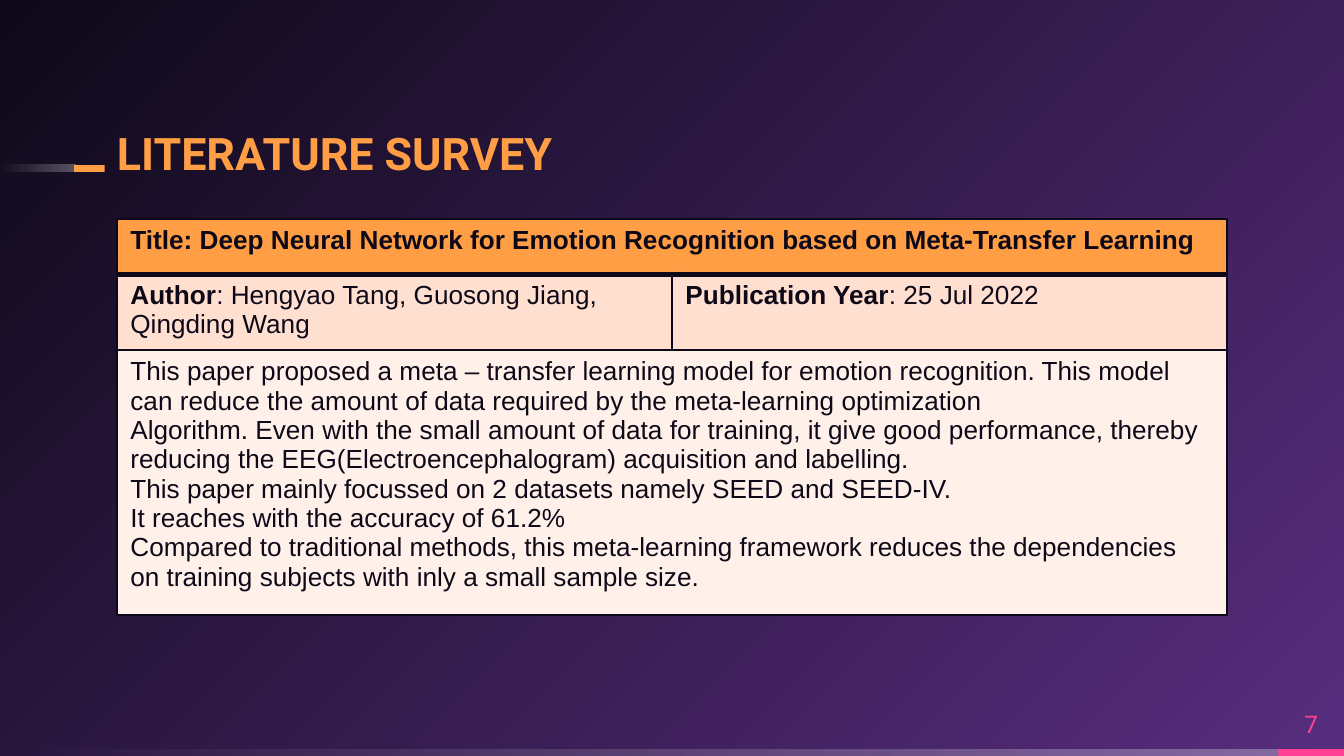
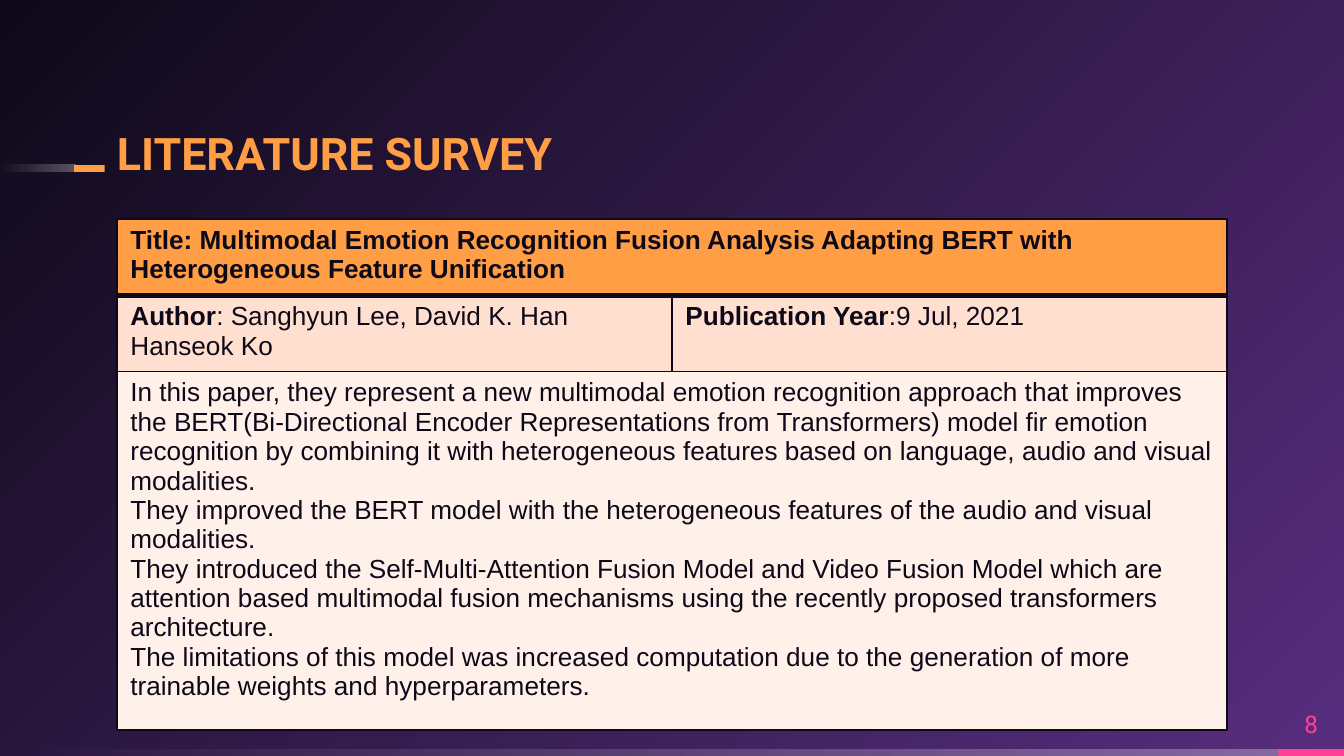
"""Build two literature survey slides."""
import pptx
import pptx.util
import pptx.dml.color
import pptx.enum.shapes
import pptx.enum.text
import pptx.oxml
import pptx.oxml.ns
from pptx.util import Cm

HUES = {
    "ink": "0E0918",
    "plum": "572D7E",
    "gold": "FF9E44",
    "pink": "FF4093",
    "peach": "FFDFCF",
    "cream": "FFF0E9",
    "white": "FFFFFF",
}
WIDE, HIGH = 25.4, 14.29
BAR = 0.13

PAPERS = [
    {
        "page": 7,
        "tall": 7.47,
        "title": "Title: Deep Neural Network for Emotion Recognition based on Meta-Transfer Learning",
        "names": ": Hengyao Tang, Guosong Jiang, Qingding Wang",
        "date": ": 25 Jul 2022",
        "notes": [
            "This paper proposed a meta – transfer learning model for emotion recognition. This model can reduce the amount of data required by the meta-learning optimization",
            "Algorithm. Even with the small amount of data for training, it give good performance, thereby reducing the EEG(Electroencephalogram) acquisition and labelling.",
            "This paper mainly focussed on 2 datasets namely SEED and SEED-IV.",
            "It reaches with the accuracy of 61.2%",
            "Compared to traditional methods, this meta-learning framework reduces the dependencies on training subjects with inly a small sample size.",
        ],
    },
    {
        "page": 8,
        "tall": 9.65,
        "title": "Title: Multimodal Emotion Recognition Fusion Analysis Adapting BERT with Heterogeneous Feature Unification",
        "names": ": Sanghyun Lee, David K. Han Hanseok Ko",
        "date": ":9 Jul, 2021",
        "notes": [
            "In this paper, they represent a new multimodal emotion recognition approach that improves the BERT(Bi-Directional Encoder Representations from Transformers) model fir emotion recognition by combining it with heterogeneous features based on language, audio and visual modalities.",
            "They improved the BERT model with the heterogeneous features of the audio and visual modalities.",
            "They introduced the Self-Multi-Attention Fusion Model and Video Fusion Model which are attention based multimodal fusion mechanisms using the recently proposed transformers architecture.",
            "The limitations of this model was increased computation due to the generation of more trainable weights and hyperparameters.",
        ],
    },
]


def hue(name):
    """Return the named colour."""
    return pptx.dml.color.RGBColor.from_string(HUES[name])


def node(text):
    """Parse a snippet in the drawing namespace."""
    head, tail = text.split(" ", 1)
    return pptx.oxml.parse_xml(f"{head} {pptx.oxml.ns.nsdecls('a')} {tail}")


def style(font, face, size, tint, bold=None):
    """Set the face, size, colour and weight of a font."""
    font.name, font.size, font.bold = face, pptx.util.Pt(size), bold
    font.color.rgb = hue(tint)


def blend(fill, tints):
    """Give a fill a gradient of two colours."""
    fill.gradient()
    for stop, tint, spot in zip(fill.gradient_stops, tints, (0, 1)):
        stop.color.rgb, stop.position = hue(tint), spot


def bar(slide, box, tint=None):
    """Draw a thin bar, plain or fading to the left."""
    shape = slide.shapes.add_shape(
        pptx.enum.shapes.MSO_SHAPE.RECTANGLE, *map(Cm, box))
    shape.shadow.inherit = False
    shape.line.fill.background()
    if tint:
        shape.fill.solid()
        shape.fill.fore_color.rgb = hue(tint)
        return
    blend(shape.fill, ("white", "white"))
    shape.fill.gradient_angle = 180
    stops = shape._element.spPr.iter(pptx.oxml.ns.qn("a:srgbClr"))
    for part, alpha in zip(stops, (29000, 0)):
        part.append(node(f'<a:alpha val="{alpha}"/>'))


def label(slide, box, text, anchor):
    """Add a text box without insets and return its paragraph."""
    frame = slide.shapes.add_textbox(*map(Cm, box)).text_frame
    frame.word_wrap = True
    frame.vertical_anchor = anchor
    frame.margin_left = frame.margin_right = 0
    frame.margin_top = frame.margin_bottom = 0
    para = frame.paragraphs[0]
    para.text = text
    return para


def back(slide):
    """Paint the round gradient of the background."""
    blend(slide.background.fill, ("plum", "ink"))
    grad = slide._element.find(".//" + pptx.oxml.ns.qn("a:gradFill"))
    line = grad.find(pptx.oxml.ns.qn("a:lin"))
    grad.replace(line, node(
        '<a:path path="circle"><a:fillToRect l="100000" t="100000"/></a:path>'))


def header(slide, box):
    """Draw the title with its dash to the left."""
    left, top, wide, tall = box
    dash, gap = 0.58, 0.23
    edge = left - gap - dash
    line = top + 0.81
    bar(slide, (0, line, edge + 0.02, BAR))
    bar(slide, (edge, line, dash, BAR), "gold")
    para = label(slide, box, "LITERATURE SURVEY",
                 pptx.enum.text.MSO_ANCHOR.BOTTOM)
    para.line_spacing = 0.9
    style(para.font, "Roboto", 24, "gold", True)


def footer(slide, box, page):
    """Draw the bottom band and the page number."""
    left, top, wide, tall = box
    tab, rise = 1.24, 0.97
    edge, line = left + wide - tab, top + tall - BAR
    bar(slide, (left, line, edge + 0.07, BAR))
    bar(slide, (edge, line, tab, BAR), "pink")
    para = label(slide, (edge, line - rise, tab, rise), str(page),
                 pptx.enum.text.MSO_ANCHOR.MIDDLE)
    para.alignment = pptx.enum.text.PP_ALIGN.CENTER
    style(para.font, "Roboto", 13, "pink")


def trim(cell, tint, row):
    """Set the borders and the fill of a cell."""
    sizes = {"L": 1, "R": 1, "T": 3 if row == 1 else 1, "B": 1 if row else 3}
    for side, size in sizes.items():
        cell._tc.get_or_add_tcPr().append(node(
            f'<a:ln{side} w="{size * 12700}"><a:solidFill>'
            f'<a:srgbClr val="{HUES["ink"]}"/></a:solidFill></a:ln{side}>'))
    cell.fill.solid()
    cell.fill.fore_color.rgb = hue(tint)


def write(cell, lines, bold=False):
    """Fill a cell with one paragraph for each line."""
    cell.text = "\n".join(lines)
    for para in cell.text_frame.paragraphs:
        style(para.font, "Arial", 14, "ink", bold)
        for run in para.runs:
            style(run.font, "Arial", 14, "ink", bold)


def pair(cell, name, value):
    """Write a bold name and a plain value in a cell."""
    para = cell.text_frame.paragraphs[0]
    for text, bold in ((name, True), (value, False)):
        run = para.add_run()
        run.text = text
        style(run.font, "Arial", 14, "ink", bold)


def survey(slide, box, paper):
    """Build the table that sums up a paper."""
    frame = slide.shapes.add_table(3, 2, *map(Cm, box))
    table = frame.table
    rows = zip(table.rows, (1.04, 0.76, 0.76), ("gold", "peach", "cream"))
    for index, (row, tall, tint) in enumerate(rows):
        row.height = Cm(tall)
        for cell in row.cells:
            trim(cell, tint, index)
    for index in (0, 2):
        table.cell(index, 0).merge(table.cell(index, 1))
    write(table.cell(0, 0), [paper["title"]], True)
    pair(table.cell(1, 0), "Author", paper["names"])
    pair(table.cell(1, 1), "Publication Year", paper["date"])
    write(table.cell(2, 0), paper["notes"])
    frame.height = Cm(box[3])


def build(deck, paper):
    """Add the slide of one paper."""
    slide = deck.slides.add_slide(deck.slide_layouts[6])
    back(slide)
    footer(slide, (0, 0, WIDE, HIGH), paper["page"])
    header(slide, (2.21, 2.31, 14.73, 1.09))
    survey(slide, (2.21, 4.14, 20.98, paper["tall"]), paper)


def main():
    """Make the deck and save it."""
    deck = pptx.Presentation()
    deck.slide_width, deck.slide_height = Cm(WIDE), Cm(HIGH)
    for paper in PAPERS:
        build(deck, paper)
    deck.save("out.pptx")


if __name__ == "__main__":
    main()
